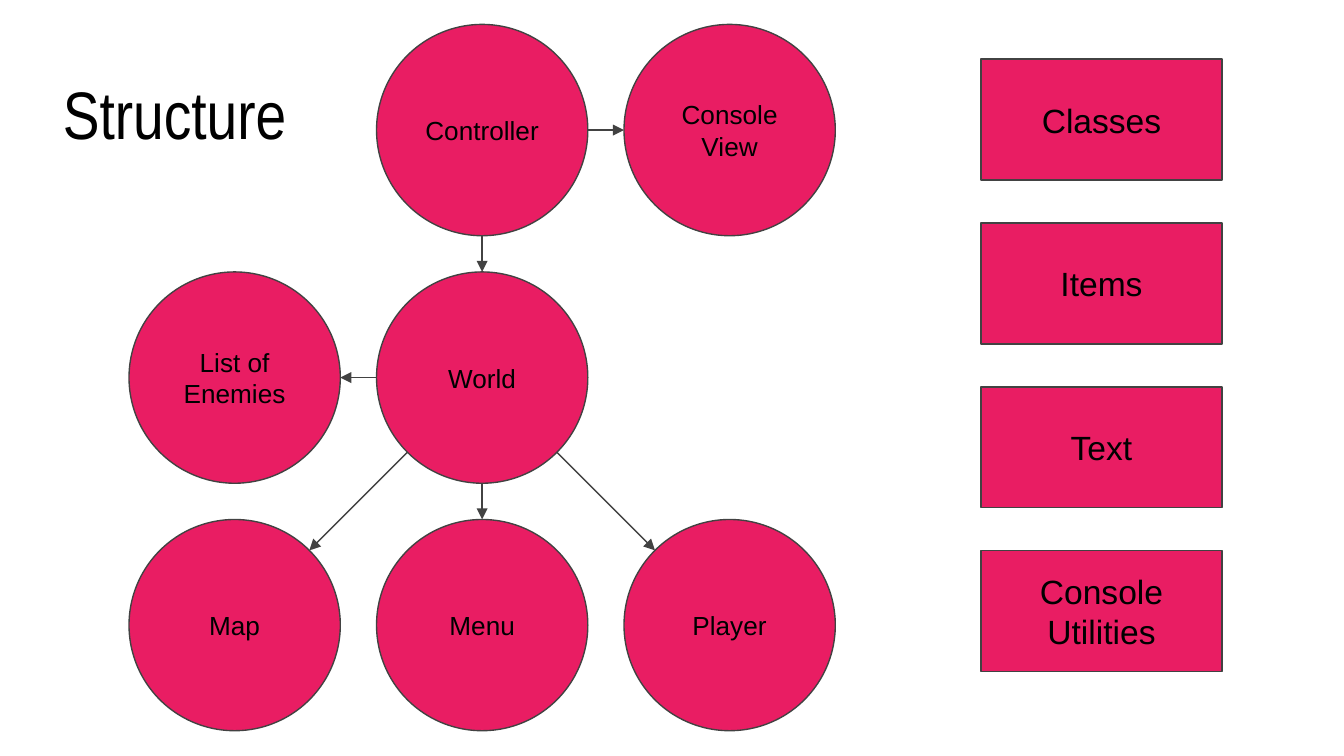
from dataclasses import dataclass
from math import hypot

from lxml.etree import SubElement
from pptx import Presentation
from pptx.dml.color import RGBColor
from pptx.enum.shapes import MSO_CONNECTOR, MSO_SHAPE
from pptx.enum.text import MSO_ANCHOR, PP_ALIGN
from pptx.oxml.ns import qn
from pptx.util import Pt

PINK, GREY, BLACK = "E91D63", "424242", "000000"
LEFT, TOP, STEP, SIZE = 69.1, 13.1, 132.6, 113.2


@dataclass(frozen=True)
class Node:
    text: str
    col: int
    row: int

    @property
    def x(self) -> float:
        return LEFT + self.col * STEP

    @property
    def y(self) -> float:
        return TOP + self.row * STEP


@dataclass(frozen=True)
class Link:
    start: Node
    end: Node


CONTROL = Node("Controller", 1, 0)
VIEW = Node("Console View", 2, 0)
ENEMIES = Node("List of Enemies", 0, 1)
WORLD = Node("World", 1, 1)
MAP = Node("Map", 0, 2)
MENU = Node("Menu", 1, 2)
PLAYER = Node("Player", 2, 2)
NODES = (CONTROL, VIEW, ENEMIES, WORLD, MAP, MENU, PLAYER)
LINKS = (Link(CONTROL, VIEW), Link(CONTROL, WORLD),
         *(Link(WORLD, node) for node in (ENEMIES, MAP, MENU, PLAYER)))
PARTS = ("Classes", "Items", "Text", "Console Utilities")


def color(code: str) -> RGBColor:
    return RGBColor.from_string(code)


def write(shape, text: str, *, size: float, font: str = "Arial",
          align=PP_ALIGN.CENTER, anchor=MSO_ANCHOR.MIDDLE) -> None:
    frame = shape.text_frame
    frame.word_wrap = True
    frame.vertical_anchor = anchor
    frame.margin_left = frame.margin_right = Pt(7.2)
    frame.margin_top = frame.margin_bottom = Pt(7.2)
    para = frame.paragraphs[0]
    para.alignment = align
    run = para.add_run()
    run.text = text
    run.font.name = font
    run.font.size = Pt(size)
    run.font.color.rgb = color(BLACK)


def stroke(line) -> None:
    line.color.rgb = color(GREY)
    line.width = Pt(0.75)


def draw_box(slide, kind, text: str, x: float, y: float,
             wide: float, high: float, size: float) -> None:
    shape = slide.shapes.add_shape(kind, Pt(x), Pt(y), Pt(wide), Pt(high))
    shape.shadow.inherit = False
    shape.fill.solid()
    shape.fill.fore_color.rgb = color(PINK)
    stroke(shape.line)
    write(shape, text, size=size)


def draw_link(slide, link: Link) -> None:
    start, end = link.start, link.end
    dx, dy = end.x - start.x, end.y - start.y
    scale = SIZE / 2 / hypot(dx, dy)
    half = SIZE / 2
    arrow = slide.shapes.add_connector(
        MSO_CONNECTOR.STRAIGHT,
        Pt(start.x + half + dx * scale), Pt(start.y + half + dy * scale),
        Pt(end.x + half - dx * scale), Pt(end.y + half - dy * scale))
    stroke(arrow.line)
    SubElement(arrow.line._get_or_add_ln(), qn("a:tailEnd"), type="triangle")
    SubElement(arrow._element.spPr, qn("a:effectLst"))


def main() -> None:
    """Build the slide that shows the structure of the program."""
    deck = Presentation()
    deck.slide_width, deck.slide_height = Pt(720), Pt(405)
    slide = deck.slides.add_slide(deck.slide_layouts[6])
    title = slide.shapes.add_textbox(Pt(26.6), Pt(31.7), Pt(144.7), Pt(75.6))
    write(title, "Structure", size=36, font="Arial Narrow",
          align=PP_ALIGN.LEFT, anchor=MSO_ANCHOR.TOP)
    for node in NODES:
        draw_box(slide, MSO_SHAPE.OVAL, node.text, node.x, node.y,
                 SIZE, SIZE, 14)
    for link in LINKS:
        draw_link(slide, link)
    for row, text in enumerate(PARTS):
        draw_box(slide, MSO_SHAPE.RECTANGLE, text, 525.6, 31.7 + 87.8 * row,
                 129, 64.8, 18)
    deck.save("out.pptx")


if __name__ == "__main__":
    main()
